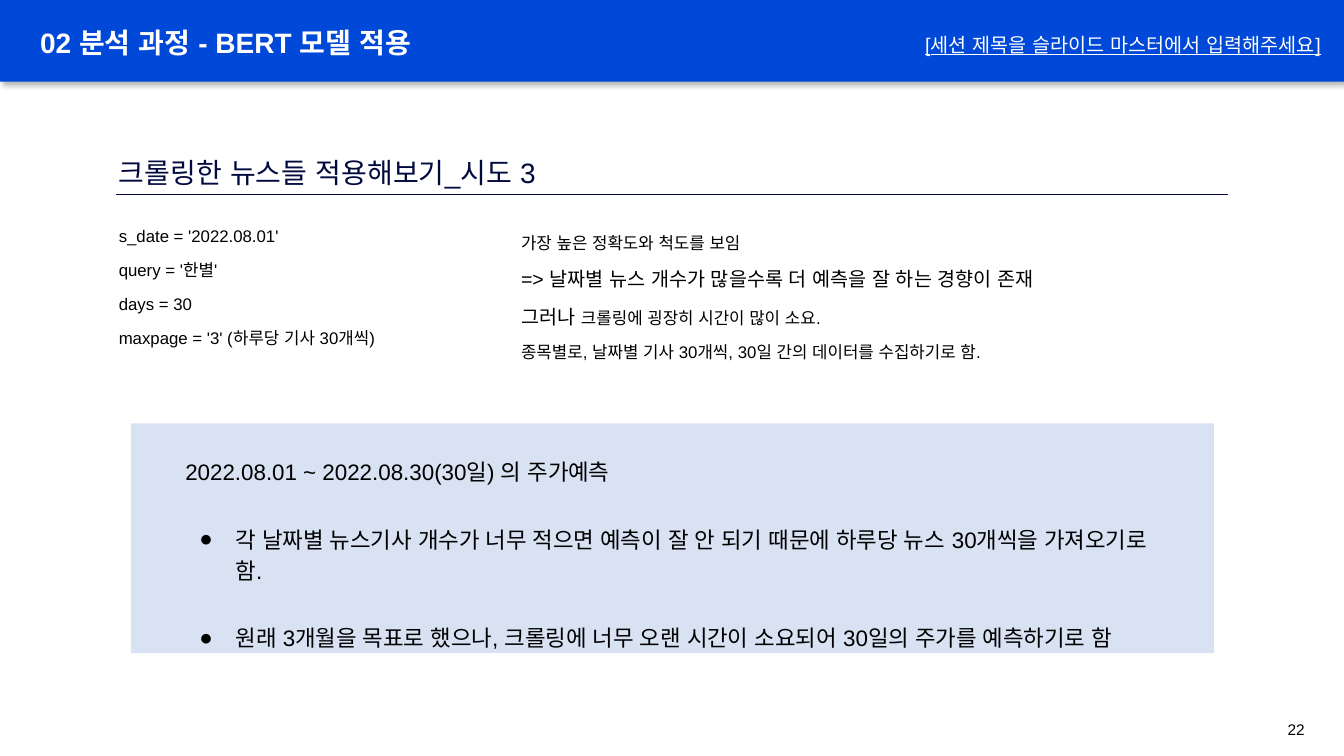
from lxml import etree
from pptx import Presentation
from pptx.dml.color import RGBColor
from pptx.enum.lang import MSO_LANGUAGE_ID
from pptx.enum.shapes import MSO_CONNECTOR, MSO_SHAPE
from pptx.enum.text import MSO_ANCHOR, PP_ALIGN
from pptx.oxml.ns import qn
from pptx.util import Inches, Pt

RECT = MSO_SHAPE.RECTANGLE
STRAIGHT = MSO_CONNECTOR.STRAIGHT
TOP, MIDDLE = MSO_ANCHOR.TOP, MSO_ANCHOR.MIDDLE
LEFT, RIGHT = PP_ALIGN.LEFT, PP_ALIGN.RIGHT
KOREAN = MSO_LANGUAGE_ID.KOREAN

WIDTH, HEIGHT = Inches(13.33), Inches(7.5)
FONT = "Arial"
BLUE, NAVY, PALE = "0048D7", "000A3E", "D8E2F3"
WHITE, BLACK = "FFFFFF", "000000"

SETTINGS = [
    [("s_date = '2022.08.01'", 12)],
    [("query = '한별'", 12)],
    [("days = 30", 12)],
    [("maxpage = '3' (하루당 기사 30개씩)", 12)],
]
FINDINGS = [
    [("가장 높은 정확도와 척도를 보임", 12)],
    [("=> 날짜별 뉴스 개수가 많을수록 더 예측을 잘 하는 경향이 존재", 14)],
    [("그러나 ", 14), ("크롤링에 굉장히 시간이 많이 소요.", 12)],
    [("종목별로, 날짜별 기사 30개씩, 30일 간의 데이터를 수집하기로 함.", 12)],
]
SUMMARY = [
    [("2022.08.01 ~ 2022.08.30(30일) 의 주가예측", 16)],
    [("각 날짜별 뉴스기사 개수가 너무 적으면 예측이 잘 안 되기 때문에 "
      "하루당 뉴스 30개씩을 가져오기로 함.", 16)],
    [("원래 3개월을 목표로 했으나, 크롤링에 너무 오랜 시간이 소요되어 "
      "30일의 주가를 예측하기로 함", 16)],
]


def rgb(value):
    return RGBColor.from_string(value)


def across(percent):
    return round(WIDTH * percent / 100)


def down(percent):
    return round(HEIGHT * percent / 100)


def place(x, y, w, h):
    return across(x), down(y), across(w), down(h)


def add_panel(s, box, color):
    sp = s.shapes.add_shape(RECT, *place(*box))
    sp.shadow.inherit = False
    sp.fill.solid()
    sp.fill.fore_color.rgb = rgb(color)
    sp.line.fill.background()
    return sp


def add_drop_shadow(sp):
    effects = sp._element.spPr.find(qn("a:effectLst"))
    shadow = etree.SubElement(effects, qn("a:outerShdw"), blurRad=str(Pt(4)),
                              dist=str(Pt(3)), dir=str(45 * 60000), rotWithShape="0")
    color = etree.SubElement(shadow, qn("a:srgbClr"), val=BLACK)
    etree.SubElement(color, qn("a:alpha"), val="28000")


def add_rule(s, x1, x2, y, color):
    line = s.shapes.add_connector(STRAIGHT, across(x1), down(y), across(x2), down(y))
    line.line.color.rgb = rgb(color)
    line.line.width = Pt(0.75)
    etree.SubElement(line._element.spPr, qn("a:effectLst"))


def add_run(p, text, size, color, bold, underline):
    r = p.add_run()
    r.text = text
    r.font.size = Pt(size)
    r.font.name = FONT
    r.font.bold = bold
    r.font.underline = underline
    r.font.color.rgb = rgb(color)
    r.font.language_id = KOREAN
    etree.SubElement(r.font._element, qn("a:ea"), typeface=FONT)


def add_text(s, box, paragraphs, color=BLACK, align=LEFT, anchor=TOP, before=0,
             spacing=1.0, margin=0.05, bold=False, underline=False):
    tf = s.shapes.add_textbox(*place(*box)).text_frame
    tf.word_wrap = True
    tf.vertical_anchor = anchor
    tf.margin_top = tf.margin_bottom = Inches(margin)
    for i, runs in enumerate(paragraphs):
        p = tf.add_paragraph() if i else tf.paragraphs[0]
        p.alignment = align
        p.line_spacing = spacing
        p.space_before = Pt(before if i else 0)
        for text, size in runs:
            add_run(p, text, size, color, bold, underline)
    return tf


def add_bullet(p):
    pPr = p._p.get_or_add_pPr()
    pPr.set("marL", str(Inches(0.5)))
    pPr.set("indent", str(Inches(-0.36)))
    color = etree.SubElement(pPr, qn("a:buClr"))
    etree.SubElement(color, qn("a:srgbClr"), val=BLACK)
    etree.SubElement(pPr, qn("a:buFont"), typeface=FONT)
    etree.SubElement(pPr, qn("a:buChar"), char="●")


def main():
    prs = Presentation()
    prs.slide_width, prs.slide_height = WIDTH, HEIGHT
    s = prs.slides.add_slide(prs.slide_layouts[6])

    add_drop_shadow(add_panel(s, (0, 0, 100, 10.8), BLUE))
    add_text(s, (59.94, 3.6, 39.08, 4.53),
             [[("[세션 제목을 슬라이드 마스터에서 입력해주세요]", 14)]],
             WHITE, RIGHT, MIDDLE, underline=True)
    add_text(s, (92.72, 94.53, 5.1, 3.87), [[("22", 11)]], align=RIGHT)
    add_panel(s, (9.75, 56, 80.57, 30.4), PALE)
    add_text(s, (2.25, 2.53, 45.39, 6.67),
             [[("02 분석 과정 - BERT 모델 적용", 20)]],
             WHITE, anchor=MIDDLE, spacing=0.9, bold=True)
    add_text(s, (8.1, 19.87, 44.04, 10.27),
             [[("크롤링한 뉴스들 적용해보기_시도 3", 20)]], NAVY)
    add_rule(s, 8.63, 91.37, 25.73, NAVY)
    add_text(s, (8.1, 29.2, 29.9, 23.33), SETTINGS, before=10)
    add_text(s, (38.03, 30.13, 60, 24.13), FINDINGS, before=10)
    summary = add_text(s, (13.05, 58.8, 75, 24.67), SUMMARY,
                       before=26, spacing=1.15, margin=0.1)
    for p in summary.paragraphs[1:]:
        add_bullet(p)

    prs.save("out.pptx")


if __name__ == "__main__":
    main()
